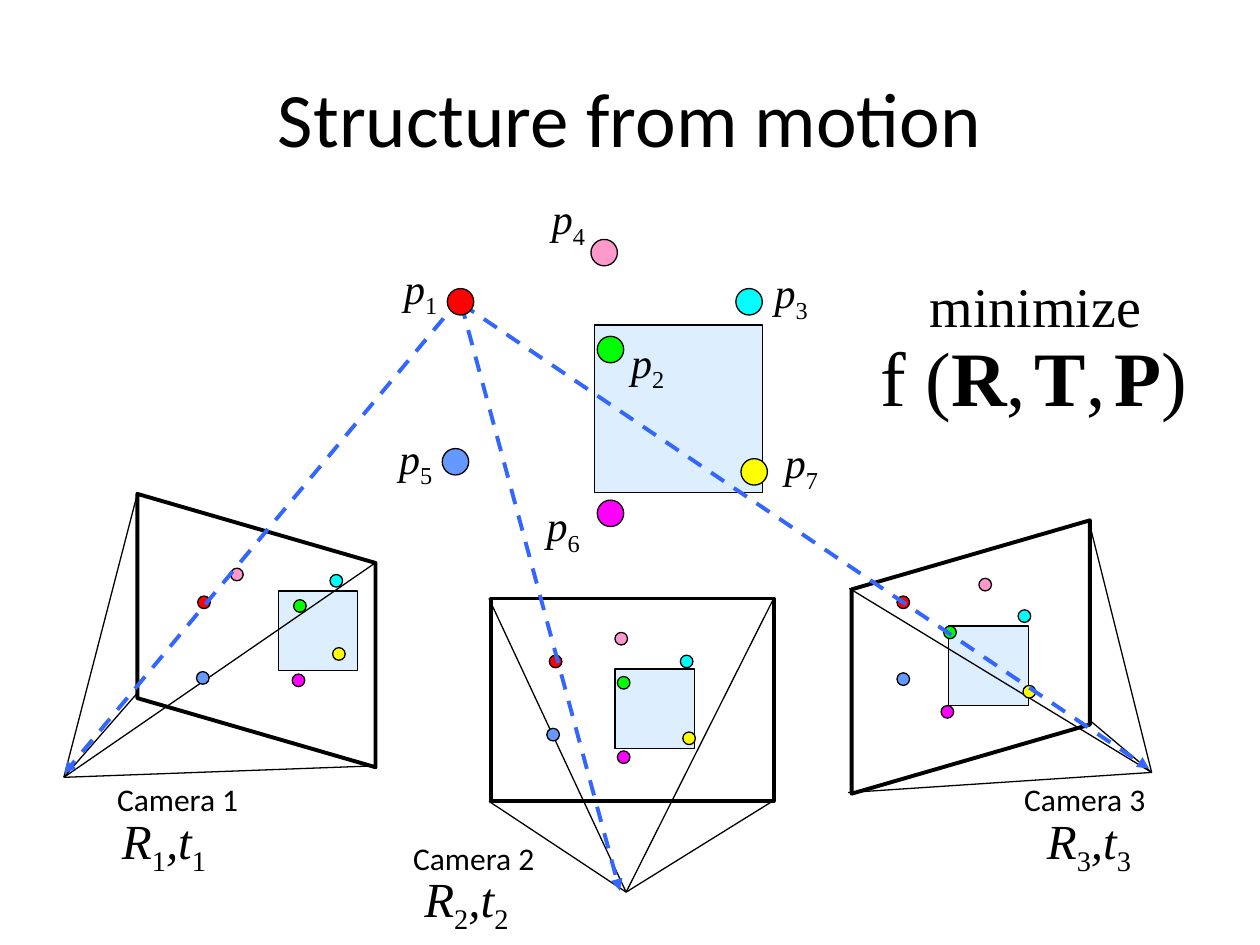
from dataclasses import dataclass
from lxml import etree
from pptx import Presentation
from pptx.dml.color import RGBColor
from pptx.enum.dml import MSO_LINE
from pptx.enum.shapes import MSO_CONNECTOR, MSO_SHAPE
from pptx.enum.text import MSO_ANCHOR, MSO_AUTO_SIZE, PP_ALIGN
from pptx.oxml.ns import qn
from pptx.util import Pt

RECT, OVAL, SKEW = MSO_SHAPE.RECTANGLE, MSO_SHAPE.OVAL, MSO_SHAPE.PARALLELOGRAM
STRAIGHT = MSO_CONNECTOR.STRAIGHT
DASH = MSO_LINE.DASH
MIDDLE = MSO_ANCHOR.MIDDLE
CENTER = PP_ALIGN.CENTER
GROW = MSO_AUTO_SIZE.SHAPE_TO_FIT_TEXT


@dataclass(frozen=True)
class Theme:
    ink: str = "000000"
    patch: str = "DDEEFF"
    ray: str = "3366FF"
    dots: tuple = ("FF0101", "00FF00", "6699FF", "FF00FF", "FFFF00", "00FFFF", "FF99CC")
    sans: str = "Calibri"
    serif: str = "Times New Roman"
    title: int = 44
    goal: int = 32
    pose: int = 28
    point: int = 24
    gap: int = 20
    label: int = 18
    thin: float = 0.75
    thick: float = 2.25


@dataclass(frozen=True)
class Camera:
    frame: tuple
    turn: int
    patch: tuple
    apex: tuple
    corners: tuple
    dots: tuple
    label: tuple
    pose: tuple


THEME = Theme()
SMALL, LARGE = 7.2, 15.1

SCENE = ((255.6, 164.9), (341.3, 192.2), (252.7, 256.3), (341.3, 285.8),
         (423.4, 262.1), (420.5, 164.9), (337.7, 136.8))
NAMES = ((223.9, 146.2), (353.5, 188.6), (435.6, 149), (308.2, 106.6),
         (221, 243.4), (305.3, 282.2), (441.4, 246.2))
RAYS = (((263.5, 169.9), (36.7, 442.1)),
        ((263.5, 173.5), (354.2, 509)),
        ((263.5, 173.5), (656.6, 439.2)))

CAMERAS = (
    Camera((68.4, 292.3, 156.2, 136.1), 90, (159.1, 337.7), (36.5, 444.2),
           ((78.5, 282.2), (78.5, 396), (215.3, 321.1), (210.2, 437.8)),
           ((113, 340.6), (167.8, 342.7), (112.3, 383.8), (167, 385.2),
            (190.1, 370.1), (188.6, 328.3), (131.8, 324.7)),
           (59.8, 442.1), (62.6, 459.4)),
    Camera((280.8, 342, 161.3, 115.9), 0, (351.4, 382.3), (357.8, 509.8),
           ((279.4, 342), (441.4, 343.4), (279.4, 457.9), (441.4, 457.9)),
           ((313.9, 374.4), (352.8, 386.6), (312.5, 416.2), (352.8, 429.1),
            (390.2, 418.3), (388.8, 374.4), (351.4, 361.4)),
           (229, 475.9), (235.4, 492.5)),
    Camera((476.6, 307.4, 156.2, 136.1), 270, (542.2, 357.8), (658.1, 441.4),
           ((485.3, 336.2), (484.6, 452.9), (622.1, 411.1), (622.1, 297.4)),
           ((512.6, 340.6), (539.3, 357.8), (512.6, 384.5), (537.8, 403.2),
            (584.6, 391.7), (581.8, 348.5), (559.4, 330.5)),
           (578.2, 442.1), (591.1, 459.4)),
)


def rgb(tone):
    return RGBColor.from_string(tone)


def add_run(para, text, size, face=THEME.serif, bold=False, slant=False, sub=False):
    run = para.add_run()
    run.text = text
    font = run.font
    font.size, font.name = Pt(size), face
    font.bold, font.italic = bold, slant
    font.color.rgb = rgb(THEME.ink)
    if sub:
        run._r.get_or_add_rPr().set("baseline", "-25000")


def add_text(shapes, spot, size, wrap=False):
    box = shapes.add_textbox(*map(Pt, (*spot, *size)))
    frame = box.text_frame
    frame.word_wrap = wrap
    frame.auto_size = GROW
    return frame.paragraphs[0]


def add_math(shapes, spot, size, points, names, index):
    para = add_text(shapes, spot, size, wrap=True)
    for name in names:
        add_run(para, name, points, slant=True)
        add_run(para, str(index), points, sub=True)


def add_form(shapes, kind, box, fill=None, width=THEME.thin):
    form = shapes.add_shape(kind, *map(Pt, box))
    form.shadow.inherit = False
    if fill:
        form.fill.solid()
        form.fill.fore_color.rgb = rgb(fill)
    else:
        form.fill.background()
    form.line.color.rgb = rgb(THEME.ink)
    form.line.width = Pt(width)
    return form


def add_patch(shapes, spot, side):
    add_form(shapes, RECT, (*spot, side, side), THEME.patch)


def add_dots(shapes, spots, side):
    group = shapes.add_group_shape()
    for spot, tone in zip(spots, THEME.dots):
        add_form(group.shapes, OVAL, (*spot, side, side), tone)


def add_line(shapes, start, end, tone=THEME.ink, width=THEME.thin):
    line = shapes.add_connector(STRAIGHT, *map(Pt, (*start, *end)))
    line.line.color.rgb = rgb(tone)
    line.line.width = Pt(width)
    etree.SubElement(line._element.spPr, qn("a:effectLst"))
    return line


def add_ray(shapes, start, end):
    ray = add_line(shapes, start, end, THEME.ray, THEME.thick)
    ray.line.dash_style = DASH
    etree.SubElement(ray.line._get_or_add_ln(), qn("a:tailEnd"), type="triangle")


def add_camera(shapes, camera, index):
    kind = SKEW if camera.turn else RECT
    frame = add_form(shapes, kind, camera.frame, width=THEME.thick)
    if camera.turn:
        frame.adjustments[0] = 0.29
        frame.rotation = camera.turn
    if camera.turn == 270:
        frame._element.spPr.find(qn("a:xfrm")).set("flipH", "1")
    add_patch(shapes, camera.patch, 45.4)
    for corner in camera.corners:
        add_line(shapes, corner, camera.apex)
    para = add_text(shapes, camera.label, (83.5, 28.8))
    add_run(para, f"Camera {index}", THEME.label, THEME.sans)
    add_dots(shapes, camera.dots, SMALL)
    add_math(shapes, camera.pose, (70.6, 45.4), THEME.pose, ("R", ",t"), index)


def add_title(slide):
    title = slide.shapes.title
    title.left, title.top, title.width, title.height = map(Pt, (36, 21.6, 648, 90))
    title.text_frame.vertical_anchor = MIDDLE
    para = title.text_frame.paragraphs[0]
    para.alignment = CENTER
    add_run(para, "Structure from motion", THEME.title, THEME.sans)


def add_goal(shapes):
    group = shapes.add_group_shape().shapes
    para = add_text(group, (524.2, 151.9), (135.4, 46.1))
    add_run(para, "minimize", THEME.goal)
    para = add_text(group, (496.1, 185), (189.4, 60.5))
    add_run(para, "f (", THEME.title)
    for name in "RTP":
        add_run(para, name, THEME.title, bold=True)
        if name != "P":
            add_run(para, ",", THEME.title)
            add_run(para, " ", THEME.gap)
    add_run(para, ")", THEME.title)


def main():
    deck = Presentation()
    deck.slide_width, deck.slide_height = Pt(720), Pt(540)
    slide = deck.slides.add_slide(deck.slide_layouts[5])
    shapes = slide.shapes
    add_title(slide)
    add_patch(shapes, (339.8, 185.8), 95.8)
    for index, camera in enumerate(CAMERAS, 1):
        add_camera(shapes, camera, index)
    names = shapes.add_group_shape().shapes
    for index, spot in enumerate(NAMES, 1):
        add_math(names, spot, (42.5, 40.3), THEME.point, ("p",), index)
    for start, end in RAYS:
        add_ray(shapes, start, end)
    add_dots(shapes, SCENE, LARGE)
    add_goal(shapes)
    deck.save("out.pptx")


if __name__ == "__main__":
    main()
